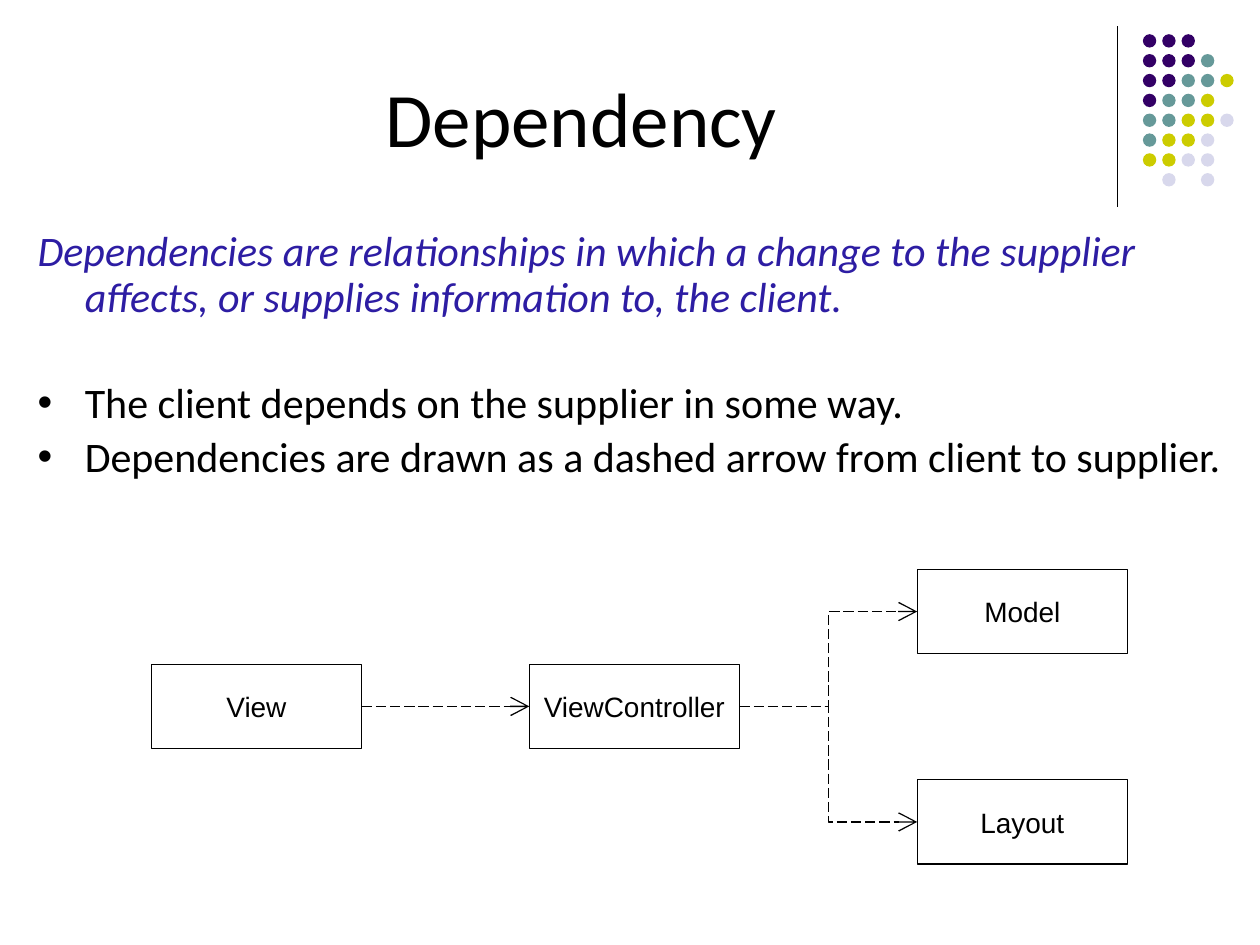
from lxml.etree import SubElement
from pptx import Presentation
from pptx.dml.color import RGBColor
from pptx.enum.dml import MSO_LINE
from pptx.enum.shapes import MSO_CONNECTOR, MSO_SHAPE
from pptx.enum.text import MSO_ANCHOR, PP_ALIGN
from pptx.oxml.ns import qn
from pptx.util import Cm, Pt


def color(hex_string):
    return RGBColor.from_string(hex_string)


def add_run(paragraph, text, font, size, hex_string="000000", italic=False):
    run = paragraph.add_run()
    run.text = text
    run.font.name = font
    run.font.size = Pt(size)
    run.font.italic = italic
    run.font.color.rgb = color(hex_string)


presentation = Presentation()
presentation.slide_width, presentation.slide_height = Cm(25.4), Cm(19.05)
slide = presentation.slides.add_slide(presentation.slide_layouts[6])
shapes = slide.shapes

# Vertical rule beside the title
rule = shapes.add_connector(MSO_CONNECTOR.STRAIGHT, Cm(22.53), Cm(0.53), Cm(22.53), Cm(4.17))
rule.line.color.rgb = color("000000")
rule.line.width = Pt(0.75)
SubElement(rule._element.spPr, qn("a:effectLst"))

# Dot pattern: one letter per dot, a space leaves a gap
dot_colors = {"P": "330066", "T": "669999", "Y": "CCCC00", "L": "D8D8EC"}
dot_rows = ["PPP", "PPPT", "PPTTY", "PTTY", "TTYYL", "TYYL", "YYLL", " L L"]
for row, letters in enumerate(dot_rows):
    for column, letter in enumerate(letters):
        if letter == " ":
            continue
        dot = shapes.add_shape(MSO_SHAPE.OVAL, Cm(23.04 + 0.39 * column),
                               Cm(0.69 + 0.4 * row), Cm(0.27), Cm(0.27))
        dot.shadow.inherit = False
        dot.fill.solid()
        dot.fill.fore_color.rgb = color(dot_colors[letter])
        dot.line.fill.background()

# Title
title = shapes.add_textbox(Cm(1.27), Cm(0.76), Cm(21.26), Cm(3.18)).text_frame
title.word_wrap = True
title.vertical_anchor = MSO_ANCHOR.MIDDLE
title.paragraphs[0].alignment = PP_ALIGN.CENTER
add_run(title.paragraphs[0], "Dependency ", "Calibri", 44)

# Definition and bullets: text, colour, italic, bulleted, space before
statements = [
    ("Dependencies are relationships in which a change to the supplier affects, "
     "or supplies information to, the client.", "2D1DA3", True, False, 4.8),
    ("The client depends on the supplier in some way.", "000000", False, True, 35),
    ("Dependencies are drawn as a dashed arrow from client to supplier.",
     "000000", False, True, 4.8),
]
body = shapes.add_textbox(Cm(0.51), Cm(4.52), Cm(25.02), Cm(6.2)).text_frame
body.word_wrap = True
for index, (text, hex_string, italic, bulleted, space) in enumerate(statements):
    paragraph = body.paragraphs[0] if index == 0 else body.add_paragraph()
    paragraph.line_spacing = 0.9
    paragraph.space_before = Pt(space)
    properties = paragraph._p.get_or_add_pPr()
    properties.set("marL", str(Cm(0.95)))
    properties.set("indent", str(-Cm(0.95)))
    if bulleted:
        SubElement(properties, qn("a:buFont"), typeface="Arial")
        SubElement(properties, qn("a:buChar"), char="•")
    add_run(paragraph, text, "Calibri", 24, hex_string, italic)

# Class boxes
class_places = {
    "View": (3.05, 13.39),
    "ViewController": (10.67, 13.39),
    "Model": (18.49, 11.48),
    "Layout": (18.49, 15.72),
}
classes = {}
for name, (left, top) in class_places.items():
    box = shapes.add_shape(MSO_SHAPE.RECTANGLE, Cm(left), Cm(top), Cm(4.24), Cm(1.7))
    box.shadow.inherit = False
    box.fill.background()
    box.line.color.rgb = color("000000")
    box.line.width = Pt(0.75)
    box.text_frame.word_wrap = False
    box.text_frame.vertical_anchor = MSO_ANCHOR.MIDDLE
    box.text_frame.paragraphs[0].alignment = PP_ALIGN.CENTER
    add_run(box.text_frame.paragraphs[0], name, "Arial", 16)
    classes[name] = box

# Dashed arrows from client (right side) to supplier (left side)
dependencies = [
    ("View", "ViewController", MSO_CONNECTOR.STRAIGHT),
    ("ViewController", "Model", MSO_CONNECTOR.ELBOW),
    ("ViewController", "Layout", MSO_CONNECTOR.ELBOW),
]
for client, supplier, kind in dependencies:
    arrow = shapes.add_connector(kind, 0, 0, 0, 0)
    arrow.begin_connect(classes[client], 3)
    arrow.end_connect(classes[supplier], 1)
    arrow.line.color.rgb = color("000000")
    arrow.line.width = Pt(0.75)
    arrow.line.dash_style = MSO_LINE.LONG_DASH
    SubElement(arrow.line._get_or_add_ln(), qn("a:tailEnd"), type="arrow", w="lg", len="lg")
    SubElement(arrow._element.spPr, qn("a:effectLst"))

presentation.save("out.pptx")
